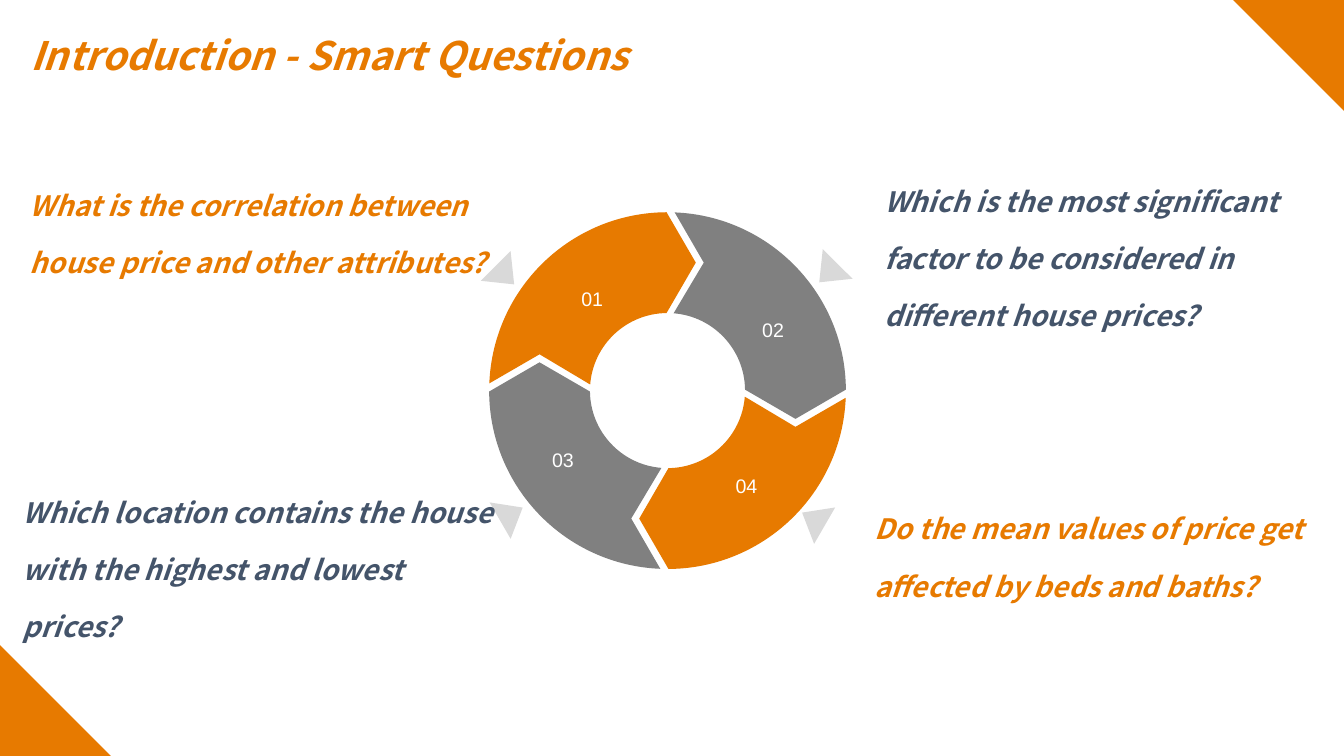
from dataclasses import dataclass
from math import cos, radians, sin, tan

from lxml.etree import Element
from pptx import Presentation
from pptx.dml.color import RGBColor
from pptx.enum.shapes import MSO_SHAPE
from pptx.enum.text import MSO_ANCHOR, PP_ALIGN
from pptx.oxml.ns import qn
from pptx.shapes.autoshape import Shape
from pptx.slide import Slide
from pptx.util import Pt

ORANGE = RGBColor(0xE7, 0x7A, 0x00)
GRAY = RGBColor(0x80, 0x80, 0x80)
LIGHT = RGBColor(0xD9, 0xD9, 0xD9)
NAVY = RGBColor(0x44, 0x54, 0x6A)
WHITE = RGBColor(0xFF, 0xFF, 0xFF)
SANS = "Noto Sans CJK SC"
WIDE, HIGH, CORNER = 960, 540, 79.2
HUB = (476.8, 279)
OUTER, INNER = 127.4, 55.4

Point = tuple[float, float]
Box = tuple[float, float, float, float]


@dataclass
class Part:
    """One ring segment with its number, pointer and question."""
    label: str
    turn: float
    fill: RGBColor
    number: Point
    pointer: Point
    heading: float
    question: str
    box: Box
    color: RGBColor


PARTS = [
    Part("01", 0, ORANGE, (423, 213.1), (360.7, 196.6), 45,
         "What is the correlation between house price and other attributes?",
         (14, 128.2, 358.6, 61.2), ORANGE),
    Part("02", 90, GRAY, (552.2, 235.2), (591.8, 195.1), 135,
         "Which is the most significant factor to be considered in "
         "different house prices?",
         (624.6, 119.1, 335.4, 114.5), NAVY),
    Part("03", 270, GRAY, (402.1, 328.3), (365.3, 367.2), 330,
         "Which location contains the house with the highest and lowest prices?",
         (9, 355, 358.6, 86.4), NAVY),
    Part("04", 180, ORANGE, (533.2, 346.7), (581, 370.8), 210,
         "Do the mean values of price get affected by beds and baths?",
         (617.4, 352.3, 324.7, 74.9), ORANGE),
]


def paint(shape: Shape, color: RGBColor) -> None:
    shape.shadow.inherit = False
    shape.fill.solid()
    shape.fill.fore_color.rgb = color
    shape.line.fill.background()


def arc(size: float, start: float, end: float) -> list[Point]:
    """Give the start, two handles and end of one cubic arc."""
    a, b = radians(start), radians(end)
    k = 4 / 3 * tan((b - a) / 4)
    return [(size * cos(a), size * sin(a)),
            (size * (cos(a) - k * sin(a)), size * (sin(a) + k * cos(a))),
            (size * (cos(b) + k * sin(b)), size * (sin(b) - k * cos(b))),
            (size * cos(b), size * sin(b))]


def bend(shape: Shape, starts: tuple[int, ...]) -> None:
    """Join three line steps from each start into one curve."""
    lines = list(shape.element.iter(qn("a:lnTo")))
    for start in starts:
        curve = Element(qn("a:cubicBezTo"))
        lines[start].addprevious(curve)
        for line in lines[start:start + 3]:
            curve.append(line[0])
            line.getparent().remove(line)


def draw(slide: Slide, outline: list[Point], mid: Point, angle: float,
         color: RGBColor, curves: tuple[int, ...] = ()) -> None:
    """Draw an outline turned clockwise and centred on mid."""
    c, s = cos(radians(angle)), sin(radians(angle))
    dots = [(Pt(mid[0] + x * c - y * s), Pt(mid[1] + x * s + y * c))
            for x, y in outline]
    form = slide.shapes.build_freeform(*dots[0])
    form.add_line_segments(dots[1:], close=True)
    shape = form.convert_to_shape()
    bend(shape, curves)
    paint(shape, color)


def write(slide: Slide, text: str, box: Box, size: float, color: RGBColor) -> Shape:
    shape = slide.shapes.add_textbox(*map(Pt, box))
    shape.text_frame.word_wrap = True
    run = shape.text_frame.paragraphs[0].add_run()
    run.text = text
    font = run.font
    font.name, font.size, font.color.rgb = SANS, Pt(size), color
    font.bold = font.italic = True
    return shape


def ask(slide: Slide, part: Part) -> None:
    frame = write(slide, part.question, part.box, 20, part.color).text_frame
    frame.vertical_anchor = MSO_ANCHOR.MIDDLE
    frame.paragraphs[0].line_spacing = 1.7


def count(slide: Slide, part: Part) -> None:
    x, y = part.number
    frame = write(slide, part.label, (x - 20, y - 26.5, 40, 53), 14, WHITE).text_frame
    frame.vertical_anchor = MSO_ANCHOR.MIDDLE
    frame.margin_left = frame.margin_right = 0
    frame.margin_top = frame.margin_bottom = 0
    line = frame.paragraphs[0]
    line.alignment = PP_ALIGN.CENTER
    font = line.runs[0].font
    font.name = "Arial"
    font.bold = font.italic = False


def main() -> None:
    deck = Presentation()
    deck.slide_width, deck.slide_height = Pt(WIDE), Pt(HIGH)
    slide = deck.slides.add_slide(deck.slide_layouts[6])

    # Corners
    for x, y, angle in [(0, HIGH - CORNER, 0), (WIDE - CORNER, 0, 180)]:
        corner = slide.shapes.add_shape(
            MSO_SHAPE.RIGHT_TRIANGLE, Pt(x), Pt(y), Pt(CORNER), Pt(CORNER))
        corner.rotation = angle
        paint(corner, ORANGE)

    # Title
    write(slide, "Introduction - Smart Questions", (14.4, 18.7, 492.5, 41), 28, ORANGE)

    # Ring, pointers and questions
    segment = [(20.2, -91.4), *arc(OUTER, 269.7, 182.3),
               (-91.4, -25.9), *arc(INNER, 184.5, 269.3)]
    arrow = [(-9.3, -15), (-9.3, 15), (9.3, 0)]
    for part in PARTS:
        draw(slide, arrow, part.pointer, part.heading, LIGHT)
        draw(slide, segment, HUB, part.turn, part.fill, (1, 6))
        count(slide, part)
        ask(slide, part)

    deck.save("out.pptx")


if __name__ == "__main__":
    main()
